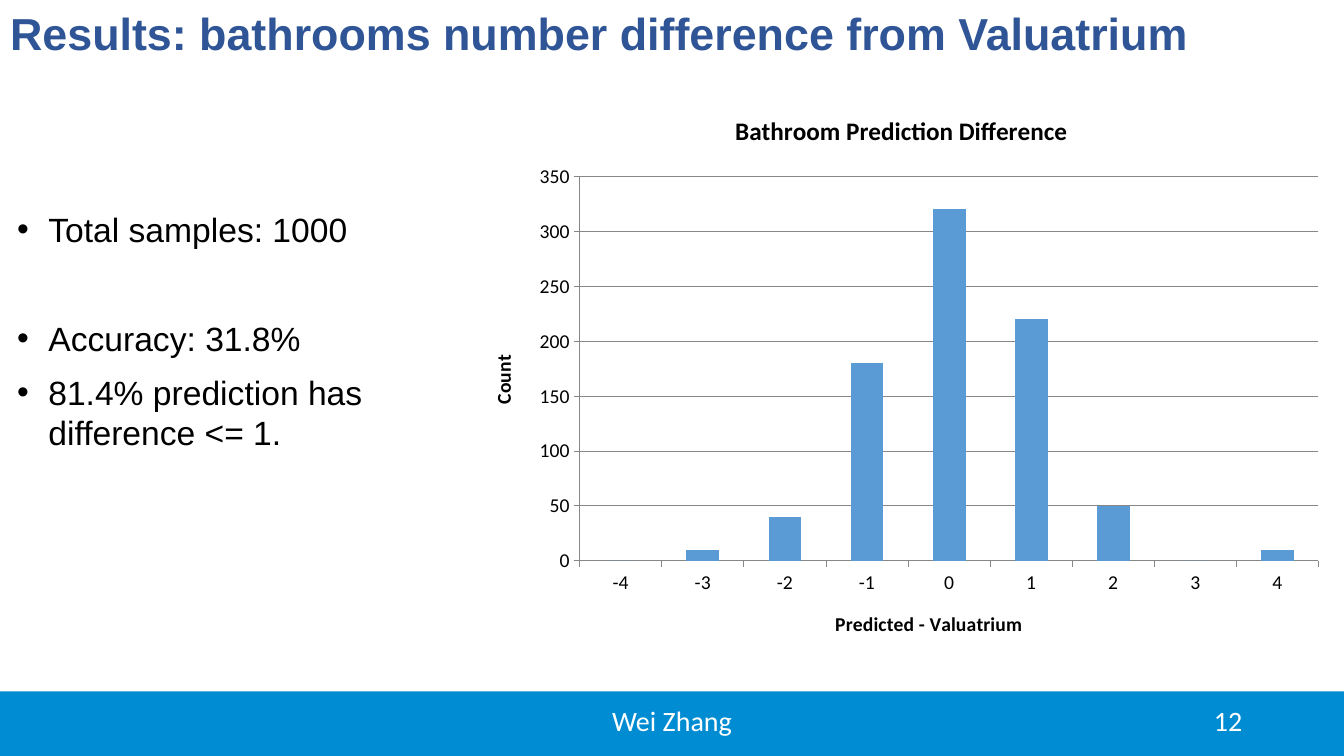
"""Build the slide on differences in predicted bathroom numbers."""
from dataclasses import dataclass

from lxml import etree
from pptx import Presentation
from pptx import util as u
from pptx.chart.data import CategoryChartData
from pptx.dml.color import RGBColor
from pptx.enum import chart as charts, shapes, text
from pptx.oxml import parse_xml
from pptx.oxml.ns import nsdecls

WIDTH, HEIGHT = 13.33, 7.5


@dataclass(frozen=True)
class Theme:
    """Hold the colours, fonts and type sizes of the slide."""

    heading: str = "2F5597"
    ink: str = "000000"
    paper: str = "FFFFFF"
    band: str = "008CD3"
    bar: str = "5B9BD5"
    rule: str = "878787"
    text_font: str = "Arial"
    chart_font: str = "Calibri"
    title_size: int = 32
    body_size: int = 24
    footer_size: int = 20
    chart_title_size: int = 18
    axis_size: int = 14


THEME = Theme()
BULLETS = [
    ("Total samples: 1000", 5),
    ("Accuracy: 31.8%", 44),
    ("81.4% prediction has difference <= 1.", 5),
]
COUNTS = {"-4": 0, "-3": 10, "-2": 40, "-1": 180, "0": 320, "1": 220, "2": 50, "3": 0, "4": 10}
PLOT_AREA = {"x": 0.13, "y": 0.15, "w": 0.85, "h": 0.68}


def apply(target, formats):
    """Set every attribute named in a dict of format values."""
    for name, value in formats.items():
        setattr(target, name, value)


def area(left, top, width, height):
    """Turn shares of the slide into a left, top, width and height."""
    shares = (left * WIDTH, top * HEIGHT, width * WIDTH, height * HEIGHT)
    return [u.Inches(round(length, 2)) for length in shares]


def place(shape, box):
    """Move a placeholder to an area."""
    apply(shape, dict(zip(("left", "top", "width", "height"), box)))


def style_font(font, name, size, colour, bold=False):
    """Give a font its face, size, colour and weight."""
    apply(font, {"name": name, "size": u.Pt(size), "bold": bold})
    font.color.rgb = RGBColor.from_string(colour)


def style_frame(frame, anchor):
    """Make a text frame wrap at a fixed size."""
    apply(frame, {"word_wrap": True, "auto_size": text.MSO_AUTO_SIZE.NONE,
                  "vertical_anchor": anchor})


def add_title(page, words):
    """Write the heading in the title placeholder."""
    title = page.shapes.title
    place(title, area(0, 0.001, 1, 0.085))
    style_frame(title.text_frame, text.MSO_ANCHOR.TOP)
    para = title.text_frame.paragraphs[0]
    para.alignment = text.PP_ALIGN.LEFT
    span = para.add_run()
    span.text = words
    style_font(span.font, THEME.text_font, THEME.title_size, THEME.heading, True)


def add_bullets(page, items):
    """Write the findings in the body placeholder."""
    body = page.placeholders[1]
    place(body, area(0.005, 0.269, 0.341, 0.339))
    frame = body.text_frame
    style_frame(frame, text.MSO_ANCHOR.TOP)
    for index, (words, before) in enumerate(items):
        para = frame.add_paragraph() if index else frame.paragraphs[0]
        apply(para, {"space_before": u.Pt(before), "space_after": u.Pt(5), "line_spacing": 1.0})
        indent = u.Inches(0.31)
        properties = para._p.get_or_add_pPr()
        properties.set("marL", str(indent))
        properties.set("indent", str(-indent))
        span = para.add_run()
        span.text = words
        style_font(span.font, THEME.text_font, THEME.body_size, THEME.ink)


def add_band(page):
    """Draw the coloured band along the foot of the slide."""
    band = page.shapes.add_shape(shapes.MSO_SHAPE.RECTANGLE, *area(0, 0.915, 1, 0.085))
    band.shadow.inherit = False
    band.fill.solid()
    band.fill.fore_color.rgb = RGBColor.from_string(THEME.band)
    band.line.fill.background()


def add_footer(page, words, left, width, alignment):
    """Write one text on the band."""
    box = page.shapes.add_textbox(*area(left, 0.927, width, 0.053))
    style_frame(box.text_frame, text.MSO_ANCHOR.MIDDLE)
    para = box.text_frame.paragraphs[0]
    para.alignment = alignment
    span = para.add_run()
    span.text = words
    style_font(span.font, THEME.chart_font, THEME.footer_size, THEME.paper)


def add_chart_title(owner, words, size):
    """Title a chart or an axis in bold."""
    owner.has_title = True
    holder = owner.chart_title if hasattr(owner, "chart_title") else owner.axis_title
    para = holder.text_frame.paragraphs[0]
    span = para.add_run()
    span.text = words
    style_font(span.font, THEME.chart_font, size, THEME.ink, True)


def style_axis(axis, words):
    """Format an axis with its title, ticks and line."""
    add_chart_title(axis, words, THEME.axis_size)
    style_font(axis.tick_labels.font, THEME.chart_font, THEME.axis_size, THEME.ink)
    apply(axis, {"major_tick_mark": charts.XL_TICK_MARK.OUTSIDE,
                 "minor_tick_mark": charts.XL_TICK_MARK.NONE})
    axis.format.line.color.rgb = RGBColor.from_string(THEME.rule)


def fix_plot_area(chart, shares):
    """Pin the inner plot area to shares of the chart."""
    plot_area = chart._chartSpace.chart.plotArea
    for old in plot_area.findall("{*}layout"):
        plot_area.remove(old)
    layout = parse_xml(f"<c:layout {nsdecls('c')}><c:manualLayout/></c:layout>")
    values = {"layoutTarget": "inner", "xMode": "edge", "yMode": "edge", **shares}
    for name, value in values.items():
        namespace = etree.QName(layout).namespace
        etree.SubElement(layout[0], f"{{{namespace}}}{name}").set("val", str(value))
    plot_area.insert(0, layout)


def add_column_chart(page, counts):
    """Add the column chart of prediction differences."""
    data = CategoryChartData()
    data.categories = list(counts)
    data.add_series("Series 1", list(counts.values()))
    kind = charts.XL_CHART_TYPE.COLUMN_CLUSTERED
    chart = page.shapes.add_chart(kind, *area(0.347, 0.121, 0.647, 0.748), data).chart
    style_font(chart.font, THEME.chart_font, THEME.axis_size, THEME.ink)
    chart.has_legend = False
    add_chart_title(chart, "Bathroom Prediction Difference", THEME.chart_title_size)
    style_axis(chart.category_axis, "Predicted - Valuatrium")
    style_axis(chart.value_axis, "Count")
    apply(chart.value_axis, {"minimum_scale": 0, "maximum_scale": 350, "major_unit": 50,
                             "has_major_gridlines": True})
    chart.value_axis.major_gridlines.format.line.color.rgb = RGBColor.from_string(THEME.rule)
    plot = chart.plots[0]
    apply(plot, {"gap_width": 150, "vary_by_categories": False})
    fill = plot.series[0].format.fill
    fill.solid()
    fill.fore_color.rgb = RGBColor.from_string(THEME.bar)
    fix_plot_area(chart, PLOT_AREA)


def main():
    """Assemble and save the deck."""
    deck = Presentation()
    apply(deck, {"slide_width": u.Inches(WIDTH), "slide_height": u.Inches(HEIGHT)})
    page = deck.slides.add_slide(deck.slide_layouts[1])
    add_band(page)
    add_footer(page, "12", 0.707, 0.225, text.PP_ALIGN.RIGHT)
    add_footer(page, "Wei Zhang", 0.331, 0.338, text.PP_ALIGN.CENTER)
    add_title(page, "Results: bathrooms number difference from Valuatrium")
    add_bullets(page, BULLETS)
    add_column_chart(page, COUNTS)
    deck.save("out.pptx")


if __name__ == "__main__":
    main()
